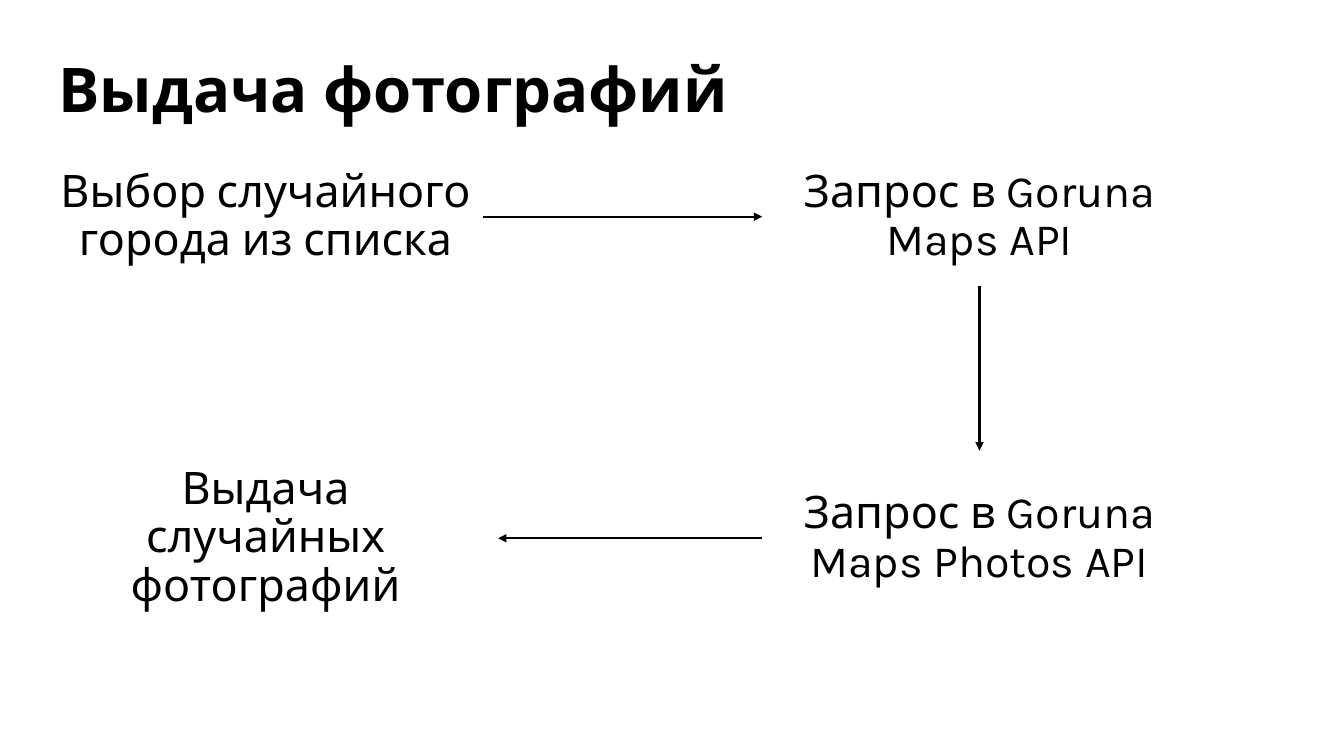
from dataclasses import dataclass
from typing import Optional

from lxml import etree
from pptx import Presentation
from pptx import util as u
from pptx.dml.color import RGBColor
from pptx.enum import shapes, text
from pptx.oxml import ns

PX = 9144  # EMU per px, 100 px to the inch
BLACK = RGBColor(0x00, 0x00, 0x00)
WHITE = RGBColor(0xFF, 0xFF, 0xFF)
FONT = "Karla"

LEFT_COLUMN, RIGHT_COLUMN = 48, 756
TOP_ROW, BOTTOM_ROW = 146, 465
STEP_WIDTH, STEP_HEIGHT = 431, 138
LEFT_SIDE, BOTTOM_SIDE, RIGHT_SIDE = 1, 2, 3


@dataclass(frozen=True)
class Step:
    key: str
    label: str
    left: int
    top: int


@dataclass(frozen=True)
class Arrow:
    source: str
    source_side: int
    tip: tuple[int, int]
    target: Optional[str] = None
    target_side: int = LEFT_SIDE


STEPS = [
    Step("city", "Выбор случайного города из списка", LEFT_COLUMN, TOP_ROW),
    Step("maps", "Запрос в Goruna Maps API", RIGHT_COLUMN, TOP_ROW),
    Step("photos", "Запрос в Goruna Maps Photos API", RIGHT_COLUMN, BOTTOM_ROW),
    Step("result", "Выдача случайных фотографий", LEFT_COLUMN, BOTTOM_ROW),
]
ARROWS = [
    Arrow("city", RIGHT_SIDE, (RIGHT_COLUMN, TOP_ROW + STEP_HEIGHT // 2), "maps"),
    Arrow("maps", BOTTOM_SIDE, (RIGHT_COLUMN + STEP_WIDTH / 2, 447)),
    Arrow("photos", LEFT_SIDE, (494, BOTTOM_ROW + STEP_HEIGHT // 2)),
]


def px(length: float) -> u.Emu:
    return u.Emu(int(length * PX))


def write(shape, wording: str, size: int, align, bold: bool = False) -> None:
    frame = shape.text_frame
    frame.word_wrap = True
    frame.auto_size = text.MSO_AUTO_SIZE.NONE
    frame.vertical_anchor = text.MSO_ANCHOR.MIDDLE
    paragraph = frame.paragraphs[0]
    paragraph.alignment = align
    paragraph.line_spacing = 0.9
    run = paragraph.add_run()
    run.text = wording
    run.font.name = FONT
    run.font.size = u.Pt(size)
    run.font.bold = bold
    run.font.color.rgb = BLACK


def add_step(slide, step: Step):
    box = slide.shapes.add_textbox(
        px(step.left), px(step.top), px(STEP_WIDTH), px(STEP_HEIGHT))
    write(box, step.label, 32, text.PP_ALIGN.CENTER)
    return box


def add_arrow(slide, arrow: Arrow, boxes: dict) -> None:
    tip_x, tip_y = (px(length) for length in arrow.tip)
    line = slide.shapes.add_connector(
        shapes.MSO_CONNECTOR.STRAIGHT, tip_x, tip_y, tip_x, tip_y)
    line.begin_connect(boxes[arrow.source], arrow.source_side)
    if arrow.target:
        line.end_connect(boxes[arrow.target], arrow.target_side)
    line.line.color.rgb = BLACK
    line.line.width = u.Pt(1.5)
    # Arrowhead, and no shadow
    outline = line.line._get_or_add_ln()
    etree.SubElement(outline, ns.qn("a:tailEnd"), type="triangle")
    etree.SubElement(line._element.spPr, ns.qn("a:effectLst"))


def main() -> None:
    deck = Presentation()
    deck.slide_width, deck.slide_height = px(1333), px(750)
    slide = deck.slides.add_slide(deck.slide_layouts[5])
    slide.background.fill.solid()
    slide.background.fill.fore_color.rgb = WHITE

    # Title
    heading = slide.shapes.title
    heading.left, heading.top = px(LEFT_COLUMN), px(48)
    heading.width, heading.height = px(757), px(88)
    write(heading, "Выдача фотографий", 44, text.PP_ALIGN.LEFT, bold=True)

    # Steps and the arrows between them
    boxes = {step.key: add_step(slide, step) for step in STEPS}
    for arrow in ARROWS:
        add_arrow(slide, arrow, boxes)

    deck.save("out.pptx")


if __name__ == "__main__":
    main()
